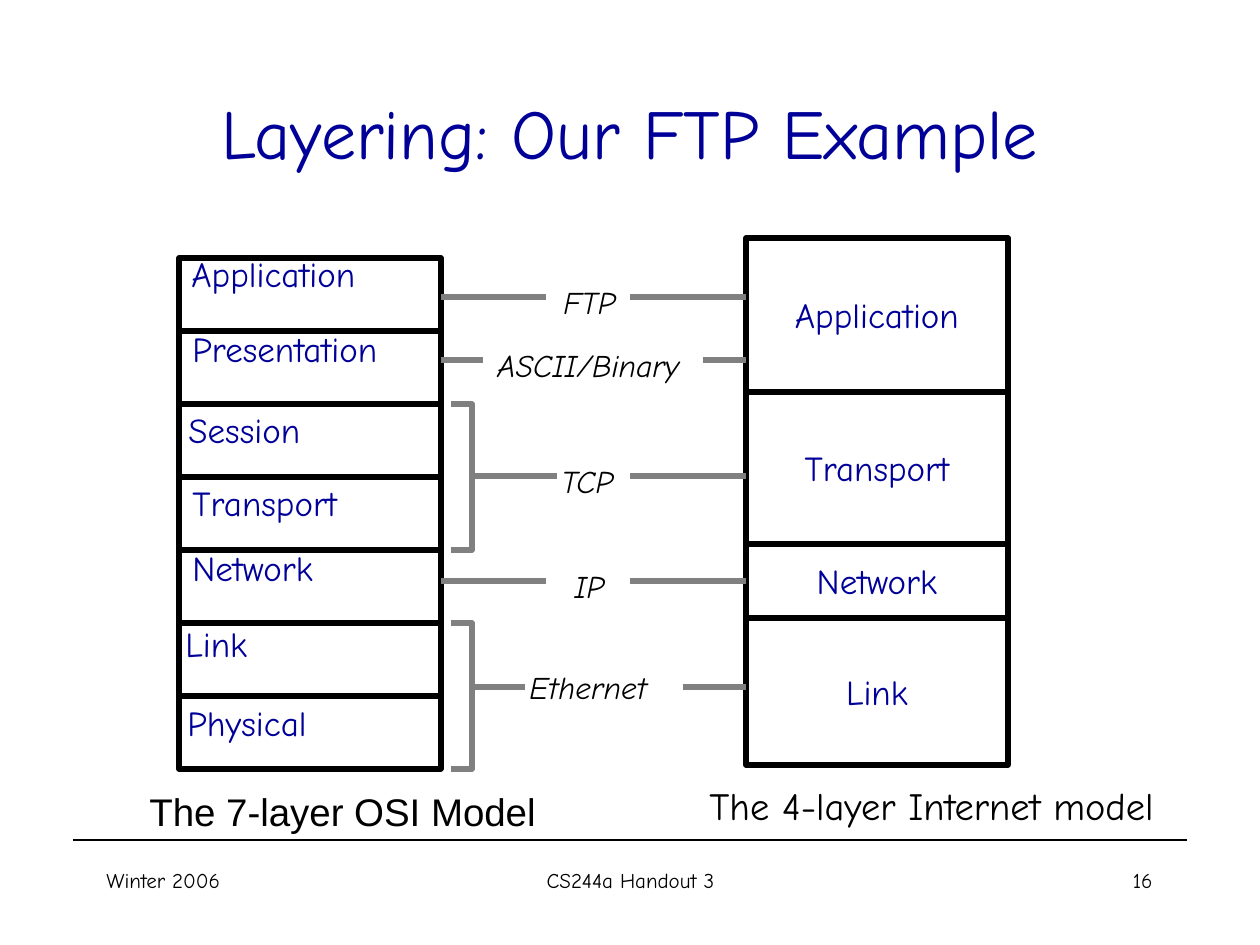
from lxml.etree import SubElement
from pptx import Presentation
from pptx.dml.color import RGBColor
from pptx.enum.shapes import MSO_CONNECTOR as Connector, MSO_SHAPE as Shape
from pptx.enum.text import MSO_ANCHOR as Anchor, MSO_AUTO_SIZE as AutoSize, PP_ALIGN as Align
from pptx.oxml.ns import qn
from pptx.util import Emu, Pt

PX = 914400 / 126
COLORS = {"ink": "000000", "blue": "000099", "gray": "808080", "white": "FFFFFF"}
COMIC = "Comic Neue"
STYLES = {
    "title": {"size": Pt(40), "name": COMIC, "color": "blue"},
    "layer": {"size": Pt(20), "name": COMIC, "color": "blue"},
    "protocol": {"size": Pt(18), "name": COMIC, "color": "ink", "italic": True},
    "caption": {"size": Pt(22), "name": COMIC, "color": "ink"},
    "osi_caption": {"size": Pt(22), "name": "Arial", "color": "ink"},
    "footer": {"size": Pt(12), "name": COMIC, "color": "ink"},
}

# OSI stack: equal layers; each label has its own left, top and width
OSI_LEFT, OSI_TOP, LAYER_WIDTH, OSI_HEIGHT = 179, 258, 262, 73
OSI_LABELS = [
    ("Application", 179, 246, 192),
    ("Presentation", 180, 321, 214),
    ("Session", 176, 402, 140),
    ("Transport", 180, 475, 173),
    ("Network", 180, 540, 149),
    ("Link", 173, 616, 90),
    ("Physical", 175, 695, 150),
]
# Internet stack: name and height, from the top down
INTERNET_LEFT, INTERNET_TOP = 746, 238
INTERNET_LAYERS = [("Application", 154), ("Transport", 152), ("Network", 74), ("Link", 147)]

OSI_EDGE = OSI_LEFT + LAYER_WIDTH
BRACKET_LEFT, BRACKET_RIGHT = 451, 472
BRACKET_STARTS = [2, 5]  # each bracket spans two OSI layers

# Protocol, label box, line height, line start, gap start, gap end
PROTOCOLS = [
    ("FTP", (551, 277, 78, 50), 297, OSI_EDGE, 546, 630),
    ("ASCII/Binary", (485, 340, 209, 50), 360, OSI_EDGE, 483, 703),
    ("TCP", (549, 456, 80, 50), 476, BRACKET_RIGHT, 557, 630),
    ("IP", (562, 561, 57, 50), 581, OSI_EDGE, 546, 630),
    ("Ethernet", (517, 662, 166, 50), 687, BRACKET_RIGHT, 525, 683),
]
FOOTERS = [
    ("Winter 2006", 94, 262, Align.LEFT),
    ("CS244a Handout 3", 431, 399, Align.CENTER),
    ("16", 903, 262, Align.RIGHT),
]


def emu(*lengths):
    return [Emu(round(length * PX)) for length in lengths]


def rgb(color):
    return RGBColor.from_string(COLORS[color])


def write_text(shape, text, style, align=Align.LEFT, **frame_format):
    for key, value in frame_format.items():
        setattr(shape.text_frame, key, value)
    paragraph = shape.text_frame.paragraphs[0]
    paragraph.alignment = align
    run = paragraph.add_run()
    run.text = text
    for key, value in STYLES[style].items():
        if key == "color":
            run.font.color.rgb = rgb(value)
        else:
            setattr(run.font, key, value)


def add_text(slide, box, text, style, align=Align.LEFT, **frame_format):
    write_text(slide.shapes.add_textbox(*emu(*box)), text, style, align, **frame_format)


def add_label(slide, box, text, style):
    add_text(slide, box, text, style, word_wrap=False, auto_size=AutoSize.SHAPE_TO_FIT_TEXT)


def set_line(shape, color, points):
    shape.line.color.rgb = rgb(color)
    shape.line.width = Pt(points)


def add_layer(slide, box):
    layer = slide.shapes.add_shape(Shape.RECTANGLE, *emu(*box))
    layer.shadow.inherit = False
    layer.fill.solid()
    layer.fill.fore_color.rgb = rgb("white")
    set_line(layer, "ink", 3)
    return layer


def add_horizontal(slide, start, end, y, color="gray", points=3):
    connector = slide.shapes.add_connector(Connector.STRAIGHT, *emu(start, y, end, y))
    set_line(connector, color, points)
    SubElement(connector._element.spPr, qn("a:effectLst"))
    return connector


def add_bracket(slide, top, bottom):
    builder = slide.shapes.build_freeform(*emu(BRACKET_LEFT, top))
    corners = [(BRACKET_RIGHT, top), (BRACKET_RIGHT, bottom), (BRACKET_LEFT, bottom)]
    builder.add_line_segments([emu(*corner) for corner in corners], close=False)
    bracket = builder.convert_to_shape()
    bracket.shadow.inherit = False
    bracket.fill.background()
    set_line(bracket, "gray", 3)


def add_osi_stack(slide):
    for index in range(len(OSI_LABELS)):
        add_layer(slide, (OSI_LEFT, OSI_TOP + index * OSI_HEIGHT, LAYER_WIDTH, OSI_HEIGHT))
    for text, left, top, width in OSI_LABELS:
        add_label(slide, (left, top, width, 55), text, "layer")
    add_label(slide, (137, 782, 414, 59), "The 7-layer OSI Model", "osi_caption")


def add_internet_stack(slide):
    layers, top = {}, INTERNET_TOP
    for text, height in INTERNET_LAYERS:
        layers[text] = add_layer(slide, (INTERNET_LEFT, top, LAYER_WIDTH, height))
        write_text(layers[text], text, "layer", Align.CENTER,
                   word_wrap=False, vertical_anchor=Anchor.MIDDLE)
        top += height
    add_label(slide, (697, 776, 473, 59), "The 4-layer Internet model", "caption")
    return layers


def add_protocols(slide, internet_layers):
    for first in BRACKET_STARTS:
        top = OSI_TOP + first * OSI_HEIGHT
        add_bracket(slide, top, top + 2 * OSI_HEIGHT)
    for text, box, y, start, gap_start, gap_end in PROTOCOLS:
        add_label(slide, box, text, "protocol")
        add_horizontal(slide, start, gap_start, y)
        right_line = add_horizontal(slide, gap_end, INTERNET_LEFT, y)
        if text == "IP":
            right_line.end_connect(internet_layers["Network"], 1)


def add_footer(slide):
    add_horizontal(slide, 73, 1187, 840, "ink", 0.75)
    for text, left, width, align in FOOTERS:
        add_text(slide, (left, 861, width, 63), text, "footer", align, word_wrap=True)


def main():
    presentation = Presentation()
    presentation.slide_width, presentation.slide_height = emu(1260, 945)
    slide = presentation.slides.add_slide(presentation.slide_layouts[6])

    # Title and footer
    add_footer(slide)
    add_text(slide, (94, 53, 1071, 157), "Layering: Our FTP Example", "title",
             Align.CENTER, word_wrap=True, vertical_anchor=Anchor.MIDDLE)

    # Two stacks and the protocols between them
    add_osi_stack(slide)
    internet_layers = add_internet_stack(slide)
    add_protocols(slide, internet_layers)

    presentation.save("out.pptx")


if __name__ == "__main__":
    main()
